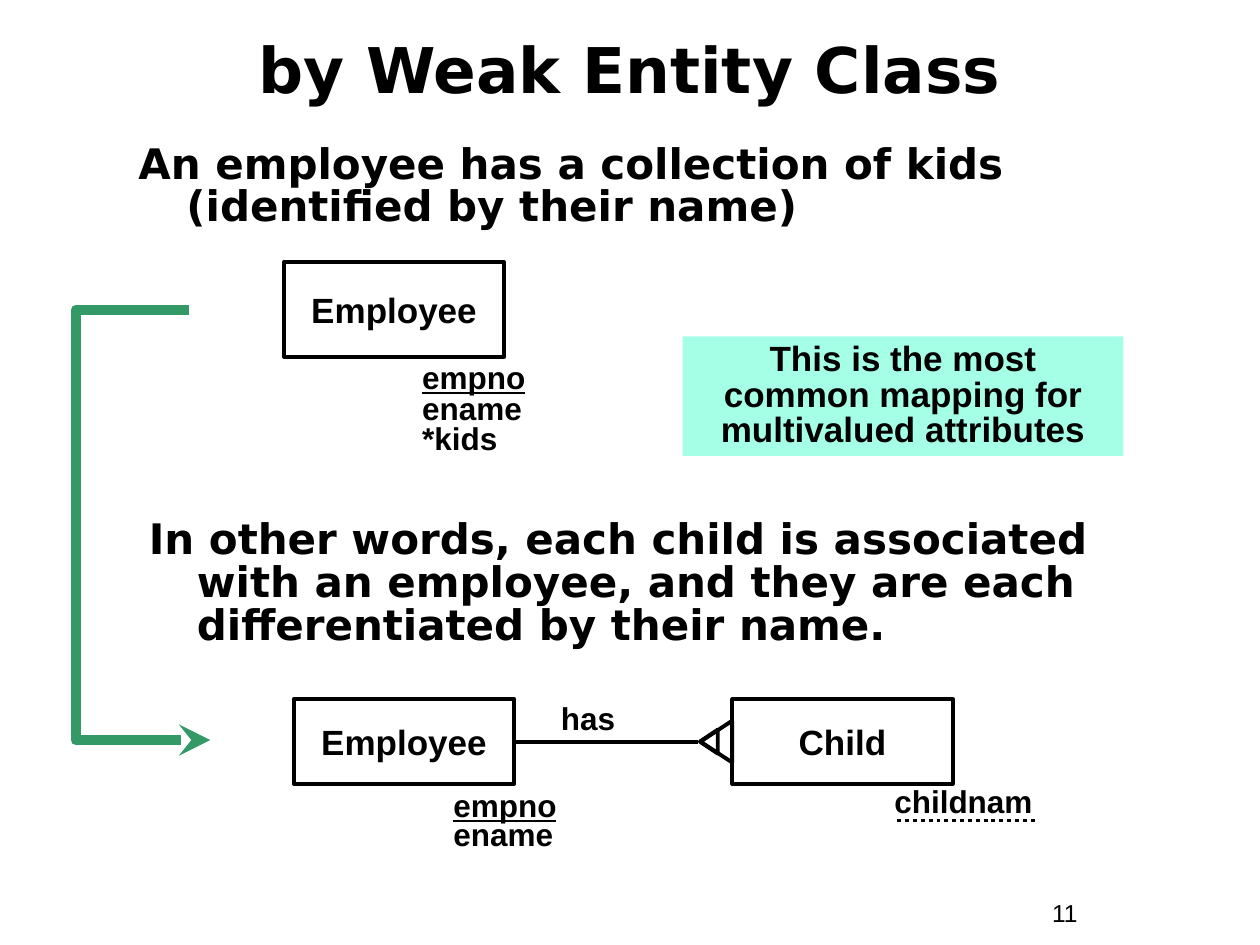
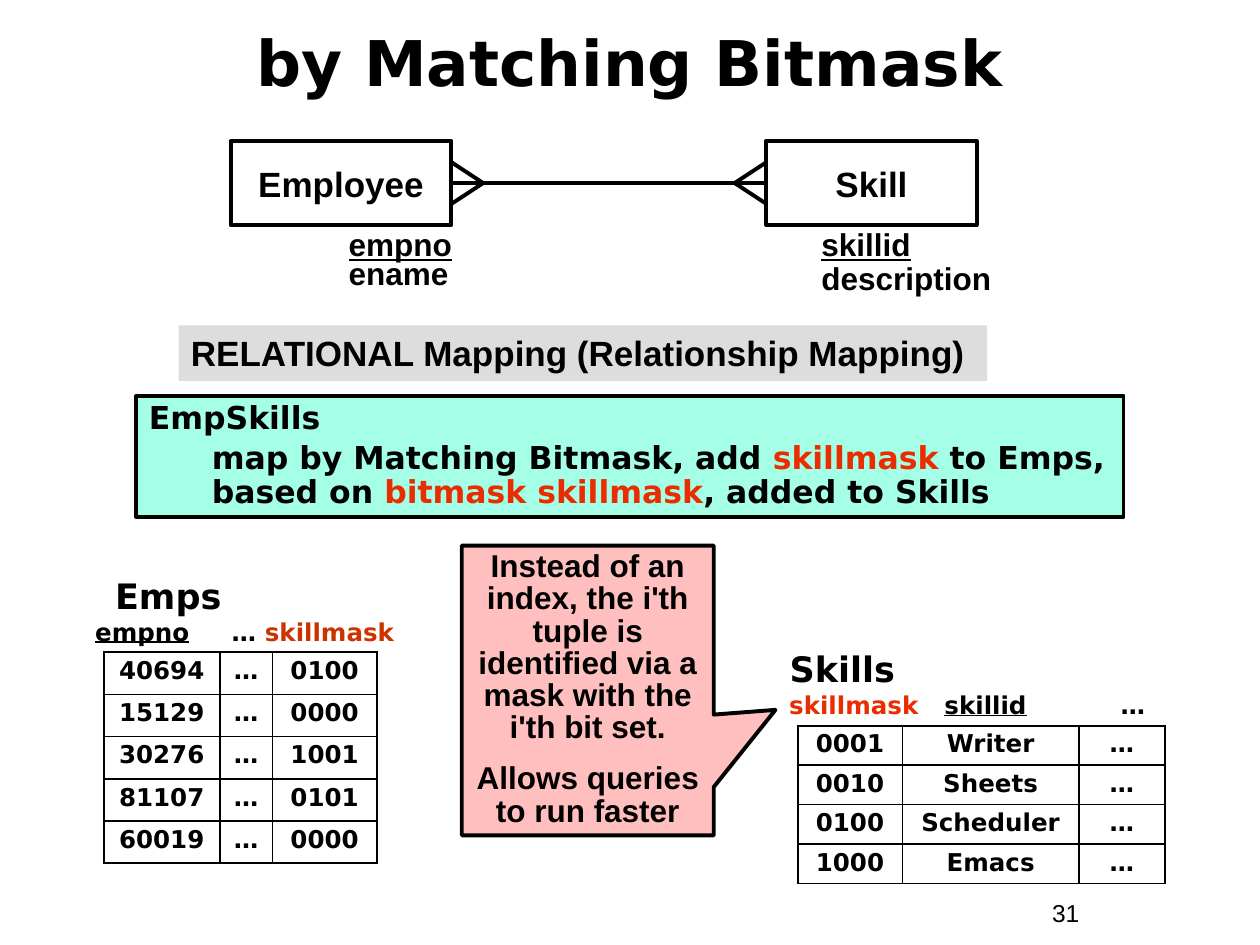
from lxml import etree
from pptx import Presentation
from pptx.dml.color import RGBColor
from pptx.enum.dml import MSO_LINE
from pptx.enum.shapes import MSO_CONNECTOR, MSO_SHAPE
from pptx.enum.text import MSO_ANCHOR, PP_ALIGN
from pptx.oxml.ns import qn
from pptx.util import Cm, Pt

COLORS = {
    "ink": "000000",
    "mint": "A5FFE7",
    "pink": "FFBFBF",
    "grey": "DDDDDD",
    "green": "339966",
    "red": "EA2D00",
    "brick": "CC3300",
}
SANS, HEAVY = "Arial", "DejaVu Sans"
LEFT, CENTER = PP_ALIGN.LEFT, PP_ALIGN.CENTER
TOP, MIDDLE = MSO_ANCHOR.TOP, MSO_ANCHOR.MIDDLE
RECT, TRIANGLE = MSO_SHAPE.RECTANGLE, MSO_SHAPE.ISOSCELES_TRIANGLE
CALLOUT = MSO_SHAPE.RECTANGULAR_CALLOUT
STRAIGHT, ELBOW = MSO_CONNECTOR.STRAIGHT, MSO_CONNECTOR.ELBOW
DOTTED = MSO_LINE.ROUND_DOT
LINE_WIDTH = 2.25
HANGING = 0.97


def rgb(name):
    return RGBColor.from_string(COLORS[name])


def write(tf, paras, size, font=SANS, align=LEFT, anchor=TOP, spacing=1.0,
          bold=True, wrap=True):
    """Fill a frame; a paragraph is a string or a list of (text, colour, underline)."""
    tf.word_wrap = wrap
    tf.vertical_anchor = anchor
    tf.margin_left = tf.margin_right = Cm(0.25)
    tf.margin_top = tf.margin_bottom = Cm(0.13)
    for i, runs in enumerate(paras):
        p = tf.paragraphs[0] if i == 0 else tf.add_paragraph()
        p.alignment = align
        p.line_spacing = spacing[i] if isinstance(spacing, list) else spacing
        if isinstance(runs, str):
            runs = [(runs, "ink", False)]
        for text, color, underline in runs:
            r = p.add_run()
            r.text = text
            r.font.size, r.font.name, r.font.bold = Pt(size), font, bold
            r.font.underline = underline
            r.font.color.rgb = rgb(color)
    return tf.paragraphs


def add_text(s, box, paras, size, **style):
    sp = s.shapes.add_textbox(*map(Cm, box))
    return write(sp.text_frame, paras, size, **style)


def add_box(s, box, kind=RECT, fill=None, outlined=True):
    sp = s.shapes.add_shape(kind, *map(Cm, box))
    sp.shadow.inherit = False
    if fill:
        sp.fill.solid()
        sp.fill.fore_color.rgb = rgb(fill)
    else:
        sp.fill.background()
    if outlined:
        sp.line.color.rgb = rgb("ink")
        sp.line.width = Pt(LINE_WIDTH)
    else:
        sp.line.fill.background()
    return sp


def add_line(s, start, end, kind=STRAIGHT, color="ink", width=LINE_WIDTH):
    line = s.shapes.add_connector(kind, *map(Cm, start + end))
    line.line.color.rgb = rgb(color)
    line.line.width = Pt(width)
    etree.SubElement(line._element.spPr, qn("a:effectLst"))
    return line


def set_indent(p, left, first=0.0):
    pPr = p._p.get_or_add_pPr()
    pPr.set("marL", str(Cm(left)))
    pPr.set("indent", str(Cm(first)))


def set_tabs(p, stops):
    tabs = etree.SubElement(p._p.get_or_add_pPr(), qn("a:tabLst"))
    for stop in stops:
        etree.SubElement(tabs, qn("a:tab"), pos=str(Cm(stop)), algn="l")


def new_slide(prs, title, number, title_spacing=1.0):
    s = prs.slides.add_slide(prs.slide_layouts[6])
    add_text(s, (0.84, 0.53, 23.7, 1.7), [title], 36, font=HEAVY, align=CENTER,
             anchor=MIDDLE, spacing=title_spacing)
    add_text(s, (20.96, 17.98, 2.34, 0.86), [number], 14, bold=False)
    return s


def statement(s, box, text):
    p, = add_text(s, box, [text], 24, font=HEAVY, spacing=0.85)
    set_indent(p, HANGING, -HANGING)


def entity(s, box, name):
    sp = add_box(s, box)
    write(sp.text_frame, [name], 20, align=CENTER, anchor=MIDDLE, wrap=False)


def attributes(s, box, names, spacing):
    """List an entity's attributes, with the key underlined first."""
    key, *others = names
    add_text(s, box, [[(key, "ink", True)], *others], 18, spacing=spacing)


def elbow_arrow(s, start, end, spine):
    """Arrow that leaves start, runs down the line x = spine and enters end."""
    arrow = add_line(s, start, end, ELBOW, "green", 6)
    share = (spine - start[0]) / (end[0] - start[0])
    geom = arrow._element.spPr.find(qn("a:prstGeom"))
    guides = geom.find(qn("a:avLst"))
    if guides is None:
        guides = etree.SubElement(geom, qn("a:avLst"))
    etree.SubElement(guides, qn("a:gd"), name="adj1",
                     fmla=f"val {round(share * 100000)}")
    ln = arrow.line._get_or_add_ln()
    etree.SubElement(ln, qn("a:tailEnd"), type="stealth")


def weak_foot(s, x, y):
    """Two nested triangles pointing left, centred near (x, y)."""
    for dx, width, height in ((0, 0.84, 0.64), (-0.15, 0.48, 0.36)):
        sp = add_box(s, (x + dx - width / 2, y - height / 2, width, height), TRIANGLE)
        sp.rotation = 270


def crow_foot(s, tip, base, y):
    for dy in (-0.42, 0.42):
        add_line(s, (tip, y), (base, y + dy))


def weak_relationship(s, left, top):
    """Employee has Child, with the attributes of both."""
    width, height = 4.45, 1.7
    child = left + 8.84
    middle = top + height / 2
    entity(s, (left, top, width, height), "Employee")
    attributes(s, (left + 2.97, top + height, 3.38, 1.52), ["empno", "ename"],
               [0.9, 0.75])
    entity(s, (child, top, width, height), "Child")
    add_text(s, (child + 3.02, top + 1.63, 4.24, 1.63), ["childnam"], 18, spacing=0.9)
    dots = add_line(s, (child + 3.33, top + 2.44), (child + 6.1, top + 2.44))
    dots.line.dash_style = DOTTED
    add_line(s, (left + width, middle), (child - 0.69, middle))
    add_text(s, (left + width, top - 0.13, 2.97, 1.02), ["has"], 18, align=CENTER)
    weak_foot(s, child - 0.32, middle)


def skill_relationship(s, left, top):
    """Employee and Skill, many to many."""
    employee_width, skill_width, height = 4.45, 4.24, 1.7
    employee_edge, skill = left + employee_width, left + 10.8
    middle = top + height / 2
    entity(s, (left, top, employee_width, height), "Employee")
    attributes(s, (left + 2.13, top + 1.65, 4.45, 1.52), ["empno", "ename"],
               [0.9, 0.75])
    entity(s, (skill, top, skill_width, height), "Skill")
    attributes(s, (skill + 0.86, top + 1.65, 4.24, 1.63), ["skillid", "description"], 0.9)
    add_line(s, (employee_edge, middle), (skill, middle))
    crow_foot(s, employee_edge + 0.64, employee_edge, middle)
    crow_foot(s, skill - 0.64, skill, middle)


def border_cell(cell):
    tcPr = cell._tc.get_or_add_tcPr()
    for i, side in enumerate(("lnL", "lnR", "lnT", "lnB")):
        ln = etree.Element(qn(f"a:{side}"), w=str(Pt(1.08)))
        fill = etree.SubElement(ln, qn("a:solidFill"))
        etree.SubElement(fill, qn("a:srgbClr"), val=COLORS["ink"])
        tcPr.insert(i, ln)


def relation(s, left, top, name, name_dx, header, stops, widths, row_height, rows):
    """Table at (left, top) under its name and a tabbed line of column names."""
    add_text(s, (left + name_dx, top - 1.7, 3.1, 1.12), [name], 20, font=HEAVY)
    p, = add_text(s, (left - 0.42, top - 0.85, sum(widths) + 1.3, 0.86), [header],
                  14, font=HEAVY)
    set_tabs(p, stops)
    table = s.shapes.add_table(len(rows), len(widths), Cm(left), Cm(top),
                               Cm(sum(widths)), Cm(row_height * len(rows))).table
    table.first_row = table.horz_banding = False
    for column, width in zip(table.columns, widths):
        column.width = Cm(width)
    for row, values in zip(table.rows, rows):
        row.height = Cm(row_height)
        for cell, value in zip(row.cells, values):
            cell.fill.background()
            write(cell.text_frame, [value], 14, font=HEAVY, align=CENTER, spacing=0.9)
            cell.margin_left = cell.margin_right = Cm(0.25)
            cell.margin_top = cell.margin_bottom = Cm(0.13)
            border_cell(cell)


def mapping_rule(s, box):
    sp = add_box(s, box, fill="mint")
    rule = [
        ("map by Matching Bitmask, add ", "ink", False),
        ("skillmask", "red", False),
        (" to Emps, based on ", "ink", False),
        ("bitmask skillmask", "red", False),
        (", added to Skills", "ink", False),
    ]
    paras = write(sp.text_frame, ["EmpSkills", rule], 18, font=HEAVY, spacing=0.9)
    paras[1].space_before = Pt(3.4)
    set_indent(paras[1], 1.27)


def mask_callout(s, box):
    sp = add_box(s, box, CALLOUT, "pink")
    sp.adjustments[0], sp.adjustments[1] = 0.745, 0.067
    paras = write(sp.text_frame, [
        "Instead of an index, the i'th tuple is identified via a mask with the i'th bit set.",
        "Allows queries to run faster",
    ], 18, align=CENTER, spacing=0.85)
    paras[1].space_before = Pt(11)


def weak_entity_slide(prs):
    s = new_slide(prs, "by Weak Entity Class", "11")
    statement(s, (2.54, 2.79, 19.48, 2.29),
              "An employee has a collection of kids (identified by their name)")
    entity(s, (5.72, 5.29, 4.45, 1.9), "Employee")
    attributes(s, (8.26, 7.24, 3.6, 2.08), ["empno", "ename", "*kids"], 0.8)
    statement(s, (2.75, 10.36, 21.38, 2.84),
              "In other words, each child is associated with an employee, "
              "and they are each differentiated by their name.")
    weak_relationship(s, 5.92, 14.1)
    elbow_arrow(s, (3.81, 6.25), (4.24, 14.92), spine=1.53)
    note = add_box(s, (13.76, 6.78, 8.89, 2.41), fill="mint", outlined=False)
    write(note.text_frame, ["This is the most common mapping for multivalued attributes"],
          20, align=CENTER, spacing=0.85)


def bitmask_slide(prs):
    s = new_slide(prs, "by Matching Bitmask", "31", title_spacing=0.8)
    skill_relationship(s, 4.65, 2.84)
    band = add_box(s, (3.6, 6.56, 16.3, 1.12), fill="grey", outlined=False)
    write(band.text_frame, ["RELATIONAL Mapping (Relationship Mapping)"], 20)
    mapping_rule(s, (2.75, 7.98, 19.9, 2.44))
    masks = {"40694": "0100", "15129": "0000", "30276": "1001", "81107": "0101",
             "60019": "0000"}
    relation(s, 2.09, 13.15, "Emps", -0.02,
             [("empno", "ink", True), ("\t…\t", "ink", False),
              ("skillmask", "brick", False)],
             (2.75, 3.42), (2.34, 1.06, 2.11), 0.85,
             [(empno, "…", mask) for empno, mask in masks.items()])
    skills = ["Writer", "Sheets", "Scheduler", "Emacs"]
    relation(s, 16.08, 14.63, "Skills", -0.41,
             [("skillmask\t", "red", False), ("skillid", "ink", True),
              ("\t…", "ink", False)],
             (3.13, 6.68), (2.11, 3.56, 1.73), 0.79,
             [(f"{1 << i:04b}", skill, "…") for i, skill in enumerate(skills)])
    mask_callout(s, (9.31, 11, 5.08, 5.84))


def main():
    prs = Presentation()
    prs.slide_width, prs.slide_height = Cm(25.4), Cm(19.05)
    weak_entity_slide(prs)
    bitmask_slide(prs)
    prs.save("out.pptx")


if __name__ == "__main__":
    main()
